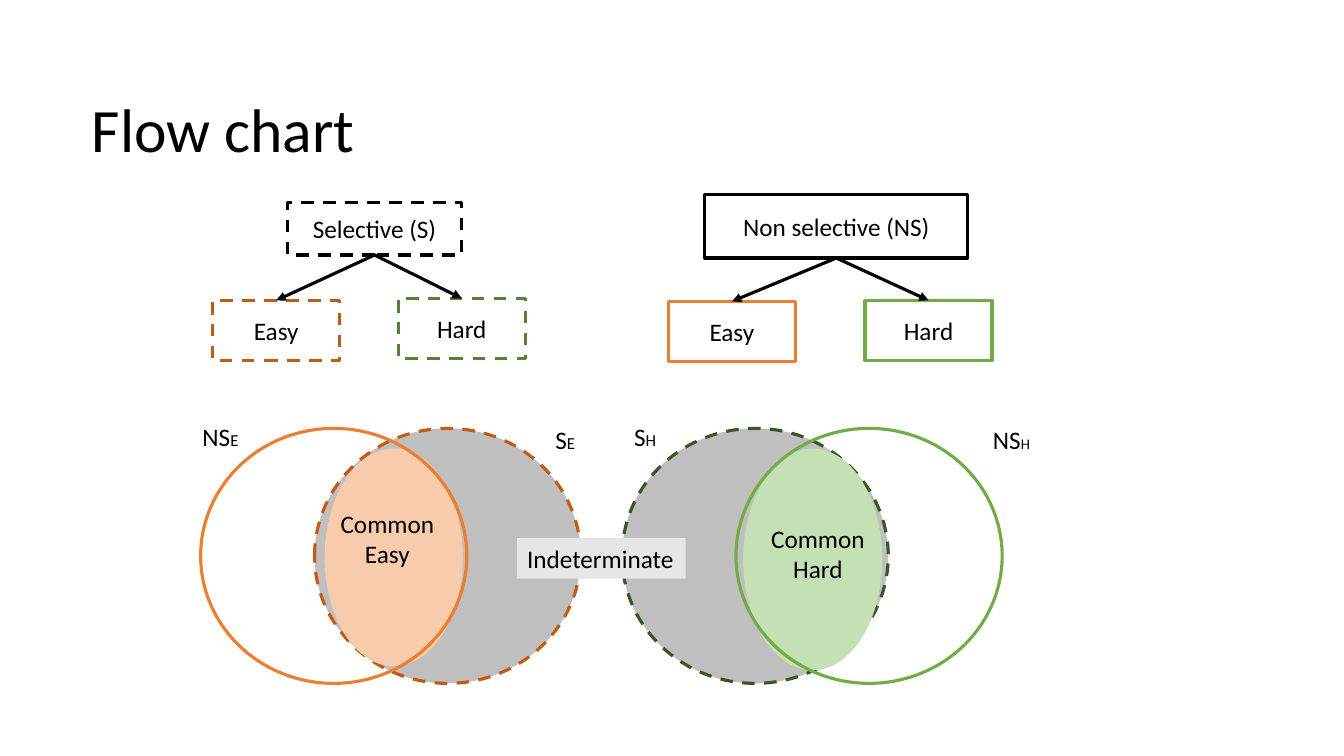
"""Build the flow chart slide with selection trees and set diagrams."""
from lxml import etree
from pptx import Presentation
from pptx.dml.color import RGBColor
from pptx.enum.dml import MSO_LINE
from pptx.enum.shapes import MSO_CONNECTOR, MSO_SHAPE
from pptx.enum.text import MSO_ANCHOR, MSO_AUTO_SIZE, PP_ALIGN
from pptx.oxml.ns import qn
from pptx.util import Pt

PX = 9144
WIDE, HIGH = 1333, 750
FONT = "Calibri"
DASH = MSO_LINE.DASH
STRAIGHT = MSO_CONNECTOR.STRAIGHT
RECT, OVAL = MSO_SHAPE.RECTANGLE, MSO_SHAPE.OVAL
LEFT, CENTER = PP_ALIGN.LEFT, PP_ALIGN.CENTER
TOP, MIDDLE = MSO_ANCHOR.TOP, MSO_ANCHOR.MIDDLE
FIT = MSO_AUTO_SIZE.SHAPE_TO_FIT_TEXT
BOTTOM_SIDE, TOP_SIDE = 2, 0
COLORS = {
    "black": "000000", "white": "FFFFFF", "gray": "BFBFBF", "pale": "E7E6E6",
    "orange": "ED7D31", "rust": "C55A11", "peach": "F8CBAD",
    "green": "70AD47", "leaf": "548235", "pine": "385723", "mint": "C5E0B4",
}


def color(name):
    return RGBColor.from_string(COLORS[name])


def scale(area):
    return [value * PX for value in area]


def write(shape, *lines, size=18, aligns=(LEFT,), anchor=TOP, wrap=True):
    frame = shape.text_frame
    frame.word_wrap = wrap
    frame.vertical_anchor = anchor
    for index, line in enumerate(lines):
        para = frame.add_paragraph() if index else frame.paragraphs[0]
        para.alignment = aligns[index]
        runs = [(line, size)] if isinstance(line, str) else line
        for text, points in runs:
            run = para.add_run()
            run.text = text
            run.font.size = Pt(points)
            run.font.name = FONT
            run.font.color.rgb = color("black")
    return frame


def draw(slide, kind, area, fill=None, line=None, dash=False):
    shape = slide.shapes.add_shape(kind, *scale(area))
    shape.shadow.inherit = False
    if fill:
        shape.fill.solid()
        shape.fill.fore_color.rgb = color(fill)
    else:
        shape.fill.background()
    if line:
        shape.line.color.rgb = color(line)
        shape.line.width = Pt(2.25)
        if dash:
            shape.line.dash_style = DASH
    else:
        shape.line.fill.background()
    return shape


def box(slide, text, area, line, dash):
    shape = draw(slide, RECT, area, "white", line, dash)
    write(shape, text, aligns=(CENTER,), anchor=MIDDLE)
    return shape


def label(slide, area, *lines, aligns=(LEFT,)):
    shape = slide.shapes.add_textbox(*scale(area))
    write(shape, *lines, aligns=aligns, wrap=False).auto_size = FIT


def arrow(slide, start, end):
    link = slide.shapes.add_connector(STRAIGHT, 0, 0, 0, 0)
    link.begin_connect(start, BOTTOM_SIDE)
    link.end_connect(end, TOP_SIDE)
    link.line.color.rgb = color("black")
    link.line.width = Pt(2.25)
    etree.SubElement(link.line._get_or_add_ln(), qn("a:tailEnd"), type="triangle")
    etree.SubElement(link._element.spPr, qn("a:effectLst"))


def tree(slide, root, leaves, dash=False):
    text, area = root
    top = box(slide, text, area, "black", dash)
    for text, x, y, line in leaves:
        arrow(slide, top, box(slide, text, (x, y, 126, 60), line, dash))


def main():
    deck = Presentation()
    deck.slide_width, deck.slide_height = WIDE * PX, HIGH * PX
    slide = deck.slides.add_slide(deck.slide_layouts[5])
    title = slide.shapes.title
    title.left, title.top, title.width, title.height = scale((81, 88, 1150, 87))
    write(title, "Flow chart", size=44, anchor=MIDDLE)
    title.text_frame.paragraphs[0].line_spacing = 0.9

    for x, line in ((617, "pine"), (312, "rust")):
        draw(slide, OVAL, (x, 425, 264, 253), "gray", line, dash=True)
    draw(slide, OVAL, (322, 445, 137, 216), "peach")
    draw(slide, OVAL, (737, 445, 138, 220), "mint")

    tree(slide, ("Selective (S)", (285, 201, 173, 52)),
         (("Easy", 211, 298, "rust"), ("Hard", 395, 296, "leaf")), dash=True)
    tree(slide, ("Non selective (NS)", (699, 193, 261, 63)),
         (("Easy", 663, 299, "orange"), ("Hard", 858, 298, "green")))

    for x, line in ((199, "orange"), (730, "green")):
        draw(slide, OVAL, (x, 425, 264, 253), line=line)
    for x, y, level in ((328, 499, "Easy"), (755, 514, "Hard")):
        label(slide, (x, y, 120, 71), "Common", level, aligns=(LEFT, CENTER))

    band = draw(slide, RECT, (513, 534, 167, 40), "pale")
    write(band, "Indeterminate", wrap=False).auto_size = FIT

    for x, y, width, group, level, small in (
        (541, 416, 40, "S", "E", 12),
        (191, 413, 56, "NS", "E", 12),
        (975, 416, 57, "NS", "H", 10.5),
        (619, 413, 42, "S", "H", 12),
    ):
        label(slide, (x, y, width, 40), ((group, 18), (level, small)))
    deck.save("out.pptx")


if __name__ == "__main__":
    main()
